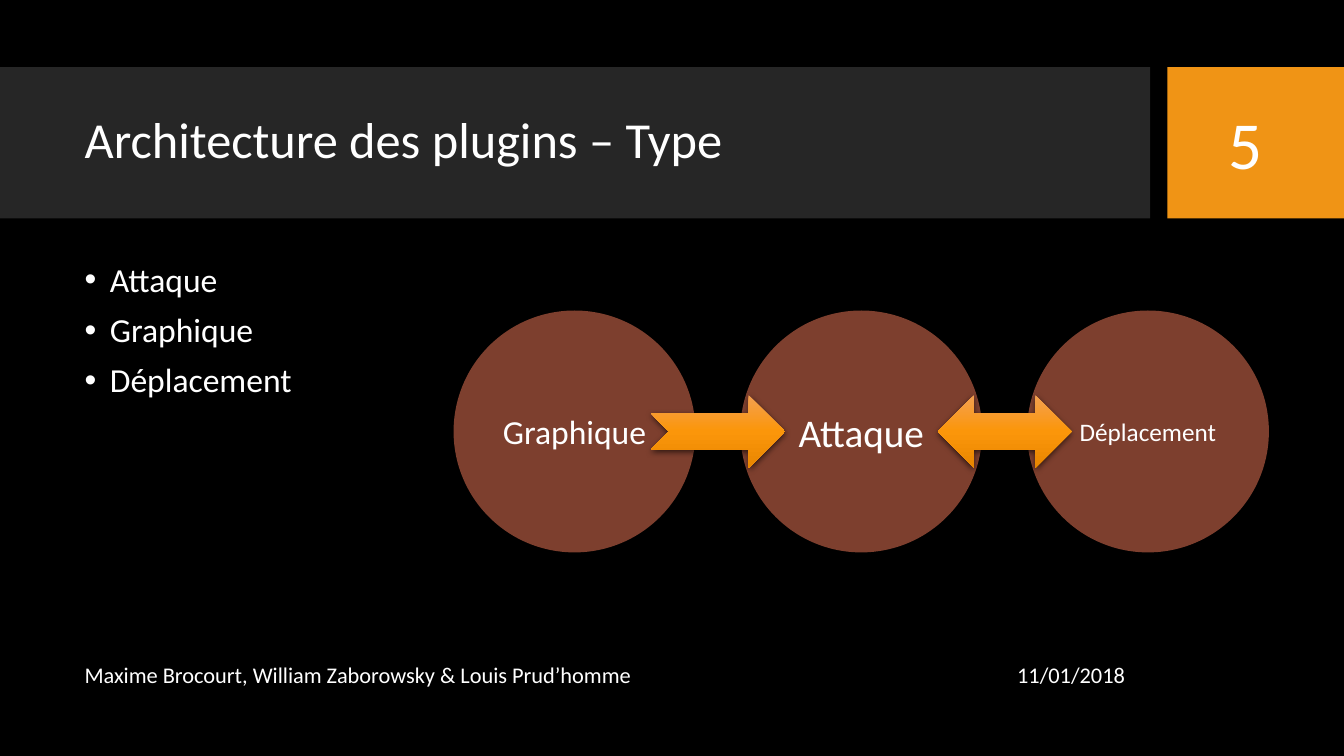
from dataclasses import dataclass

from lxml.etree import SubElement
from pptx import Presentation
from pptx.dml.color import RGBColor
from pptx.enum.shapes import MSO_SHAPE
from pptx.enum.text import MSO_ANCHOR, MSO_AUTO_SIZE, PP_ALIGN
from pptx.oxml.ns import qn
from pptx.shapes.autoshape import Shape
from pptx.slide import Slide
from pptx.text.text import TextFrame, _Paragraph
from pptx.util import Pt

COLORS = {
    "background": "000000",
    "title_band": "262626",
    "number_band": "F09415",
    "circle": "FA7E5C",
    "text": "FFFFFF",
    "shadow": "000000",
}
ARROW_STOPS = {0: "F4A050", 50: "FB960A", 100: "E88600"}
FONT = "Calibri"
MARGIN = 53.3

CIRCLE_LEFT, CIRCLE_TOP = 324, 221.8
CIRCLE_SIZE, CIRCLE_STEP = 172.8, 204.8
ARROW_WIDTH, ARROW_HEIGHT = 95.8, 51.8


@dataclass(frozen=True)
class Box:
    left: float
    top: float
    width: float
    height: float

    def points(self) -> tuple[Pt, Pt, Pt, Pt]:
        return Pt(self.left), Pt(self.top), Pt(self.width), Pt(self.height)


@dataclass(frozen=True)
class Shadow:
    opacity: int
    blur: float
    distance: float
    angle: int


@dataclass(frozen=True)
class PluginType:
    name: str
    size: int


@dataclass(frozen=True)
class Label:
    text: str
    box: Box
    size: int
    align: PP_ALIGN


BAND_SHADOW = Shadow(40, 4, 5, 45)
ARROW_SHADOW = Shadow(63, 4.5, 1.5, 90)
BANDS = {
    "title_band": Box(0, 48, 821.5, 108),
    "number_band": Box(833.8, 48, 126.2, 108),
}
TITLE_BOX = Box(MARGIN, 59, 756.7, 85)
LIST_BOX = Box(MARGIN, 184.3, 756.7, 283.7)
LABELS = [
    Label("11/01/2018", Box(594.7, 467.3, 216, 28.8), 16, PP_ALIGN.RIGHT),
    Label("Maxime Brocourt, William Zaborowsky & Louis Prud’homme",
          Box(MARGIN, 467.3, 540.7, 28.8), 16, PP_ALIGN.LEFT),
    Label("5", Box(844.6, 59, 90.7, 85.7), 48, PP_ALIGN.CENTER),
]
LISTED_TYPES = ["Attaque", "Graphique", "Déplacement"]
CHAIN = [PluginType("Graphique", 24), PluginType("Attaque", 28), PluginType("Déplacement", 18)]
LINKS = [MSO_SHAPE.NOTCHED_RIGHT_ARROW, MSO_SHAPE.LEFT_RIGHT_ARROW]


def rgb(name: str) -> RGBColor:
    return RGBColor.from_string(COLORS[name])


def write(paragraph: _Paragraph, text: str, size: int, align: PP_ALIGN) -> None:
    paragraph.alignment = align
    run = paragraph.add_run()
    run.text = text
    run.font.name = FONT
    run.font.size = Pt(size)
    run.font.color.rgb = rgb("text")


def prepare(frame: TextFrame, anchor: MSO_ANCHOR, wrap: bool = True) -> None:
    frame.auto_size = MSO_AUTO_SIZE.NONE
    frame.word_wrap = wrap
    frame.vertical_anchor = anchor


def add_plain_shape(slide: Slide, kind: MSO_SHAPE, box: Box) -> Shape:
    shape = slide.shapes.add_shape(kind, *box.points())
    shape.shadow.inherit = False
    shape.line.fill.background()
    return shape


def cast_shadow(shape: Shape, shadow: Shadow) -> None:
    effects = shape._element.spPr.find(qn("a:effectLst"))
    outer = SubElement(effects, qn("a:outerShdw"), blurRad=str(Pt(shadow.blur)),
                       dist=str(Pt(shadow.distance)), dir=str(shadow.angle * 60000),
                       rotWithShape="0")
    color = SubElement(outer, qn("a:srgbClr"), val=COLORS["shadow"])
    SubElement(color, qn("a:alpha"), val=str(shadow.opacity * 1000))


def add_bands(slide: Slide) -> None:
    """Draw the header bands behind the placeholders."""
    for depth, (name, box) in enumerate(BANDS.items()):
        band = add_plain_shape(slide, MSO_SHAPE.RECTANGLE, box)
        band.fill.solid()
        band.fill.fore_color.rgb = rgb(name)
        cast_shadow(band, BAND_SHADOW)
        slide.shapes._spTree.insert(2 + depth, band._element)


def fill_title(slide: Slide) -> None:
    title = slide.shapes.title
    title.left, title.top, title.width, title.height = TITLE_BOX.points()
    prepare(title.text_frame, MSO_ANCHOR.MIDDLE)
    heading = title.text_frame.paragraphs[0]
    heading.line_spacing = 0.9
    write(heading, "Architecture des plugins – Type", 36, PP_ALIGN.LEFT)


def fill_list(slide: Slide) -> None:
    body = slide.placeholders[1]
    body.left, body.top, body.width, body.height = LIST_BOX.points()
    frame = body.text_frame
    prepare(frame, MSO_ANCHOR.TOP)
    for index, name in enumerate(LISTED_TYPES):
        item = frame.add_paragraph() if index else frame.paragraphs[0]
        item.line_spacing = 0.9
        item.space_before = Pt(10 if index else 0)
        properties = item._p.get_or_add_pPr()
        properties.set("marL", str(Pt(18)))
        properties.set("indent", str(Pt(-18)))
        SubElement(properties, qn("a:buFont"), typeface="Arial")
        SubElement(properties, qn("a:buChar"), char="•")
        write(item, name, 24, PP_ALIGN.LEFT)


def add_label(slide: Slide, label: Label) -> None:
    frame = slide.shapes.add_textbox(*label.box.points()).text_frame
    prepare(frame, MSO_ANCHOR.MIDDLE)
    write(frame.paragraphs[0], label.text, label.size, label.align)


def add_circle(slide: Slide, position: int, plugin: PluginType) -> None:
    left = CIRCLE_LEFT + position * CIRCLE_STEP
    box = Box(left, CIRCLE_TOP, CIRCLE_SIZE, CIRCLE_SIZE)
    circle = add_plain_shape(slide, MSO_SHAPE.OVAL, box)
    circle.fill.solid()
    circle.fill.fore_color.rgb = rgb("circle")
    color = circle._element.spPr.find(qn("a:solidFill")).find(qn("a:srgbClr"))
    SubElement(color, qn("a:alpha"), val="50000")
    prepare(circle.text_frame, MSO_ANCHOR.MIDDLE, wrap=False)
    write(circle.text_frame.paragraphs[0], plugin.name, plugin.size, PP_ALIGN.CENTER)


def add_link(slide: Slide, position: int, kind: MSO_SHAPE) -> None:
    """Centre an arrow on the gap after the circle at this position."""
    gap_center = CIRCLE_LEFT + position * CIRCLE_STEP + (CIRCLE_SIZE + CIRCLE_STEP) / 2
    top = CIRCLE_TOP + (CIRCLE_SIZE - ARROW_HEIGHT) / 2
    box = Box(gap_center - ARROW_WIDTH / 2, top, ARROW_WIDTH, ARROW_HEIGHT)
    arrow = add_plain_shape(slide, kind, box)
    arrow.fill.gradient()
    arrow.fill.gradient_angle = 270
    stops = arrow._element.spPr.find(qn("a:gradFill")).find(qn("a:gsLst"))
    stops.clear()
    for percent, color in ARROW_STOPS.items():
        stop = SubElement(stops, qn("a:gs"), pos=str(percent * 1000))
        SubElement(stop, qn("a:srgbClr"), val=color)
    cast_shadow(arrow, ARROW_SHADOW)


def main() -> None:
    deck = Presentation()
    deck.slide_width, deck.slide_height = Pt(960), Pt(540)
    slide = deck.slides.add_slide(deck.slide_layouts[1])
    slide.background.fill.solid()
    slide.background.fill.fore_color.rgb = rgb("background")
    add_bands(slide)
    fill_title(slide)
    fill_list(slide)
    for label in LABELS:
        add_label(slide, label)
    for position, plugin in enumerate(CHAIN):
        add_circle(slide, position, plugin)
    for position, kind in enumerate(LINKS):
        add_link(slide, position, kind)
    deck.save("out.pptx")


if __name__ == "__main__":
    main()
